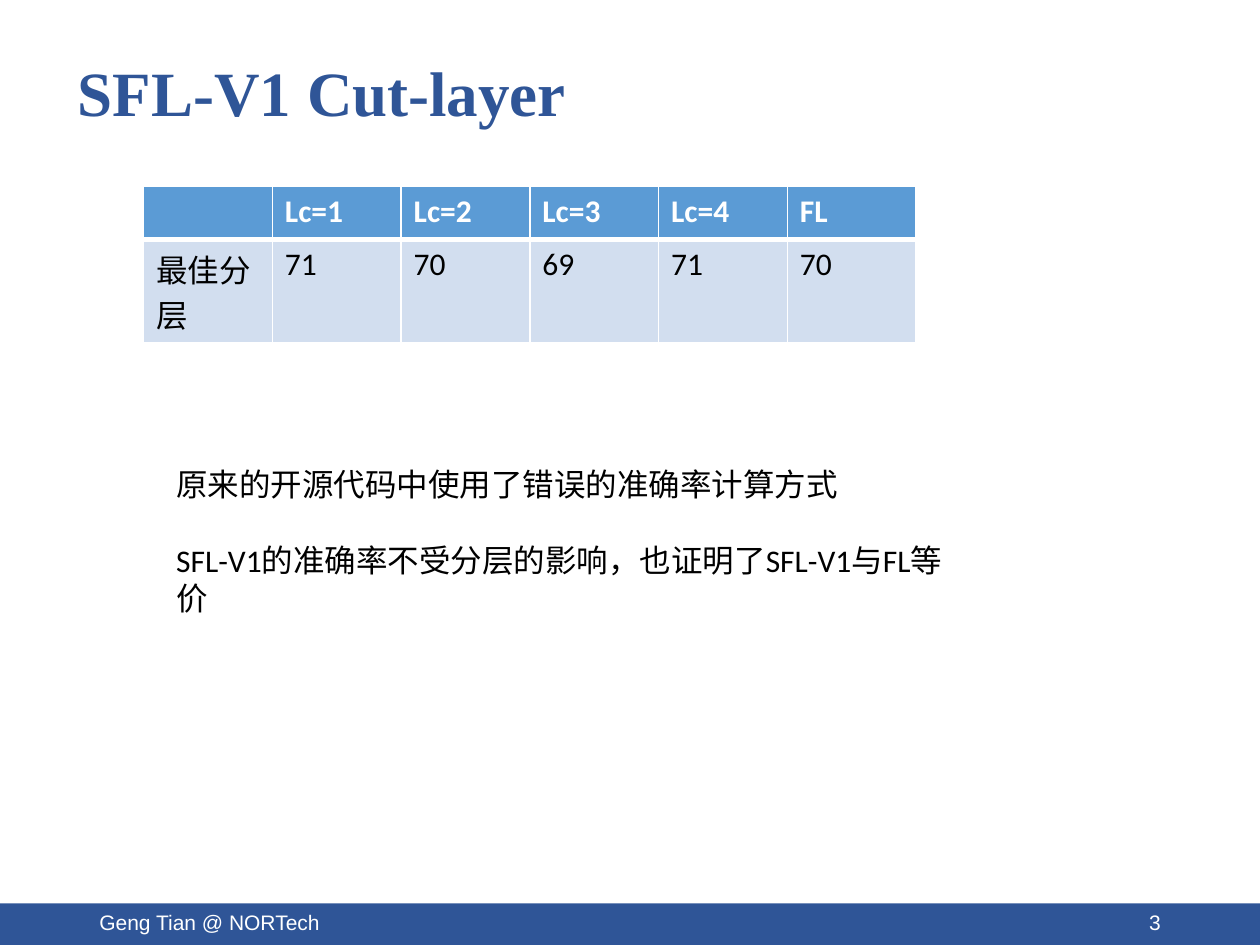
import pptx
import pptx.dml.color
import pptx.enum.shapes
import pptx.enum.text
import pptx.oxml
import pptx.oxml.ns
import pptx.util

Inches, Pt = pptx.util.Inches, pptx.util.Pt
ALIGN = pptx.enum.text.PP_ALIGN
ANCHOR = pptx.enum.text.MSO_ANCHOR

WIDTH, HEIGHT = 10, 7.5
NAVY, WHITE, BLACK = "2F5597", "FFFFFF", "000000"
HEADER_FILL, BODY_FILL = "5B9BD5", "D2DEEF"
HEADER_HEIGHT = 0.42

RESULTS = [
    ["", "Lc=1", "Lc=2", "Lc=3", "Lc=4", "FL"],
    ["最佳分层", "71", "70", "69", "71", "70"],
]
FINDINGS = [
    "原来的开源代码中使用了错误的准确率计算方式",
    "SFL-V1的准确率不受分层的影响，也证明了SFL-V1与FL等价",
]


def rgb(value):
    return pptx.dml.color.RGBColor.from_string(value)


def style(para, font, size, color, bold=False):
    para.font.name = font
    para.font.size = Pt(size)
    para.font.color.rgb = rgb(color)
    para.font.bold = bold


def add_text(page, area, lines, font, size, color, bold=False,
             align=ALIGN.LEFT, anchor=ANCHOR.MIDDLE):
    """Write one paragraph per line and return the text frame."""
    box = page.shapes.add_textbox(*map(Inches, area))
    frame = box.text_frame
    frame.word_wrap = True
    frame.vertical_anchor = anchor
    frame.text = "\n".join(lines)
    for para in frame.paragraphs:
        para.alignment = align
        style(para, font, size, color, bold)
    return frame


def add_title(page, area):
    frame = add_text(page, area, ["SFL-V1 Cut-layer"],
                     "Times New Roman", 36, NAVY, bold=True)
    frame.paragraphs[0].line_spacing = 0.9


def set_borders(cell, **widths):
    """Draw white cell borders; widths are points by side."""
    properties = cell._tc.get_or_add_tcPr()
    for side, width in widths.items():
        properties.append(pptx.oxml.parse_xml(
            f'<a:ln{side} {pptx.oxml.ns.nsdecls("a")} w="{Pt(width)}">'
            f'<a:solidFill><a:srgbClr val="{WHITE}"/></a:solidFill>'
            f'</a:ln{side}>'))


def add_results(page, area):
    """Place the table; the body row takes the height below the header."""
    table = page.shapes.add_table(
        len(RESULTS), len(RESULTS[0]), *map(Inches, area)).table
    table.horz_banding = False
    table.rows[0].height = Inches(HEADER_HEIGHT)
    table.rows[1].height = Inches(area[3] - HEADER_HEIGHT)
    for row, values in enumerate(RESULTS):
        header = row == 0
        for column, value in enumerate(values):
            cell = table.cell(row, column)
            cell.text = value
            style(cell.text_frame.paragraphs[0], "Calibri", 18,
                  WHITE if header else BLACK, bold=header)
            set_borders(cell, L=1, R=1, T=1 if header else 3,
                        B=3 if header else 1)
            cell.fill.solid()
            cell.fill.fore_color.rgb = rgb(HEADER_FILL if header else BODY_FILL)


def add_findings(page, area):
    frame = add_text(page, area, FINDINGS, "Calibri", 18, BLACK,
                     anchor=ANCHOR.TOP)
    frame.auto_size = pptx.enum.text.MSO_AUTO_SIZE.SHAPE_TO_FIT_TEXT
    for para in frame.paragraphs[1:]:
        para.space_before = Pt(22)


def add_footer(page, area):
    left, top, width, height = area
    bar = page.shapes.add_shape(
        pptx.enum.shapes.MSO_SHAPE.RECTANGLE, *map(Inches, area))
    bar.shadow.inherit = False
    bar.fill.solid()
    bar.fill.fore_color.rgb = rgb(NAVY)
    bar.line.fill.background()

    margin, label_width, label_height = 0.69, 2.25, 0.4
    label_top = top - 0.05
    right = left + width - margin - label_width
    for label_left, label, align in [
        (left + margin, "Geng Tian @ NORTech", ALIGN.LEFT),
        (right, "3", ALIGN.RIGHT),
    ]:
        add_text(page, (label_left, label_top, label_width, label_height),
                 [label], "Arial", 12, WHITE, align=align)


def main():
    deck = pptx.Presentation()
    deck.slide_width, deck.slide_height = Inches(WIDTH), Inches(HEIGHT)
    page = deck.slides.add_slide(deck.slide_layouts[6])
    add_footer(page, (0, HEIGHT - 0.33, WIDTH, 0.33))
    add_title(page, (0.52, 0.27, 8.62, 0.98))
    add_results(page, (1.14, 1.48, 6.13, 1.24))
    add_findings(page, (1.3, 3.64, 6.37, 1.31))
    deck.save("out.pptx")


if __name__ == "__main__":
    main()
